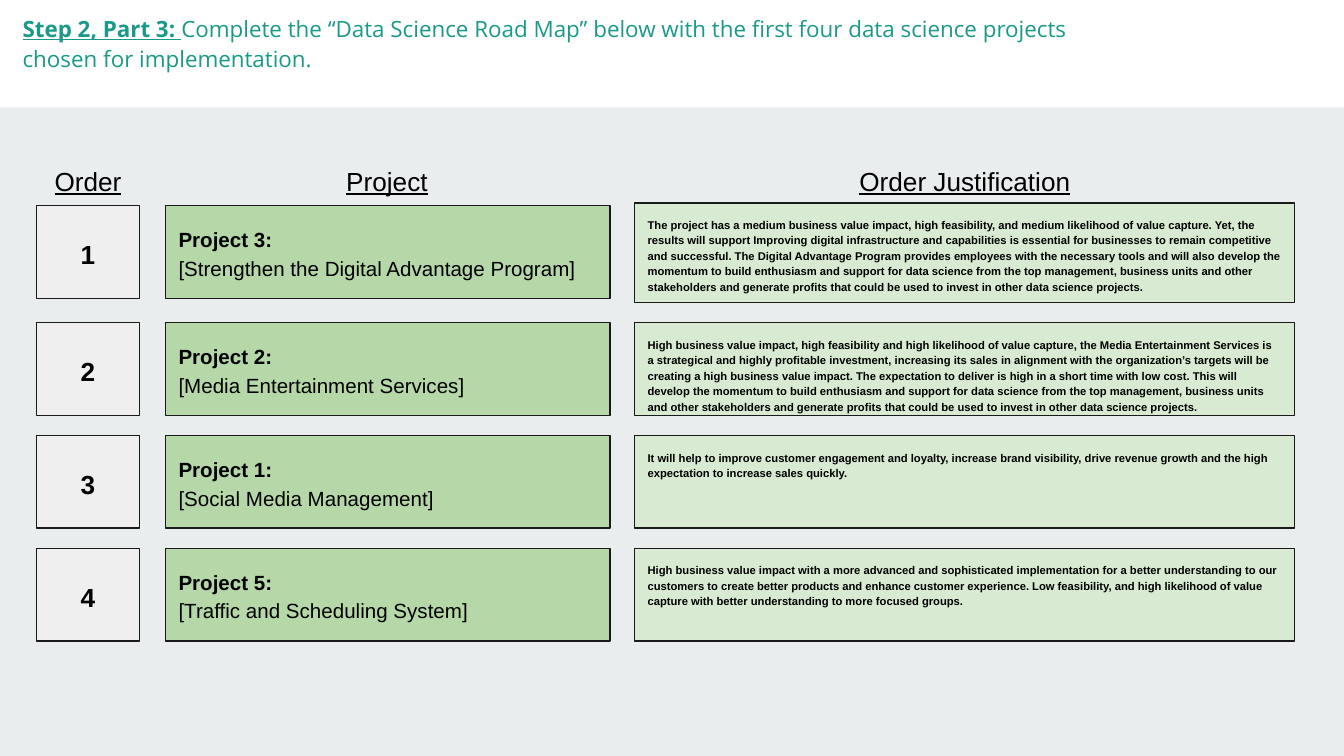
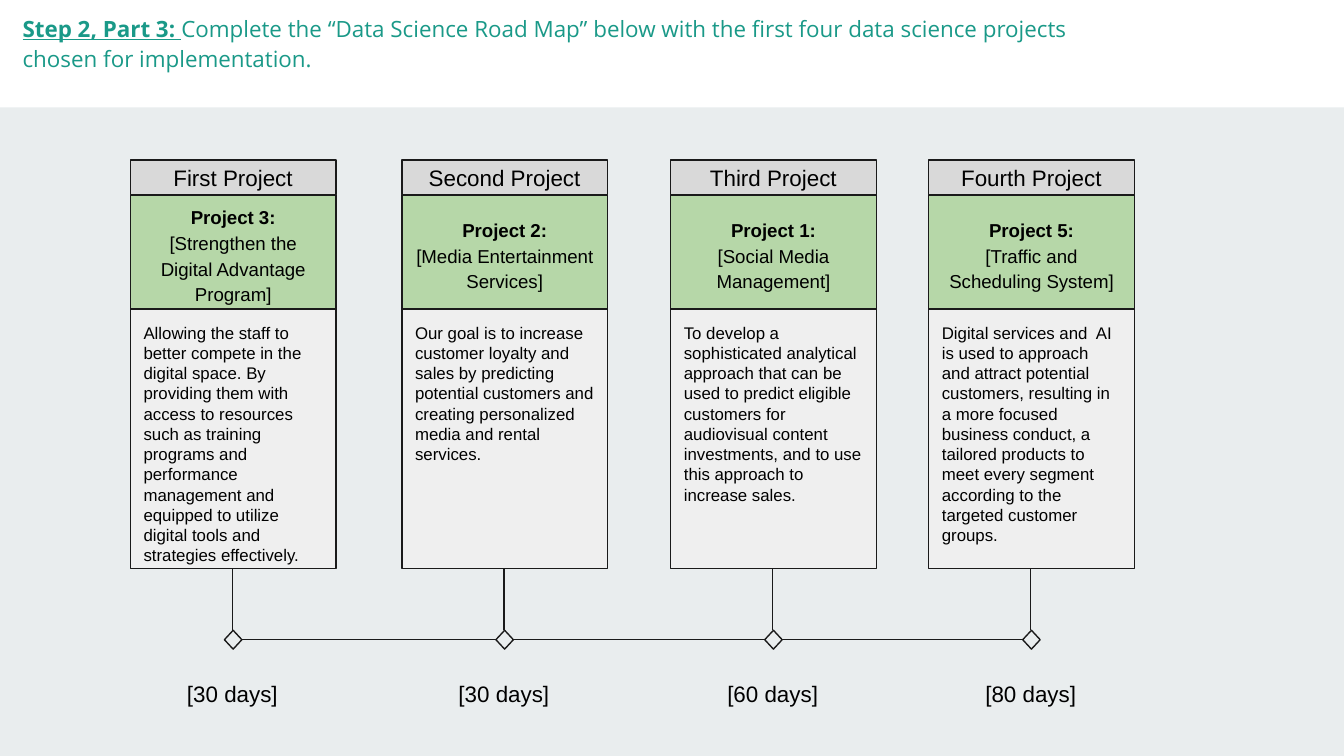
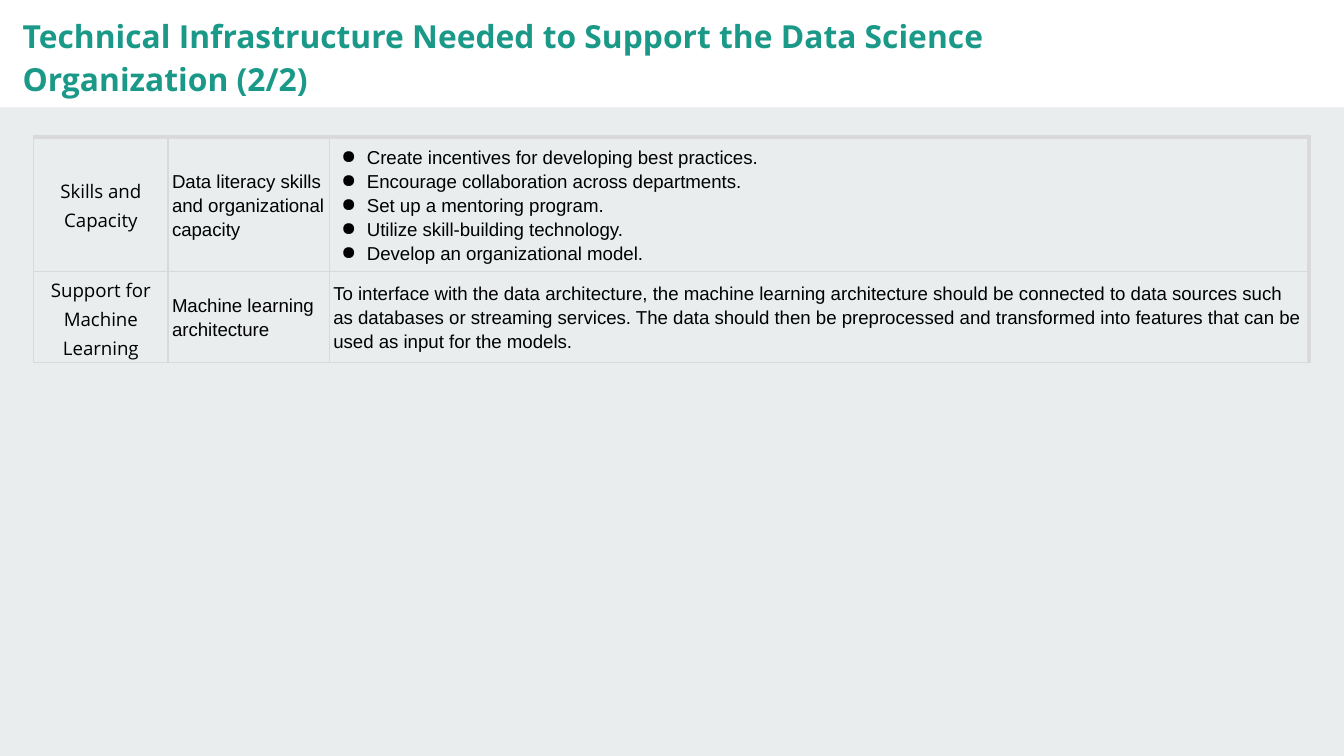
from lxml.etree import SubElement
from pptx import Presentation
from pptx.dml.color import RGBColor
from pptx.enum.shapes import MSO_CONNECTOR, MSO_SHAPE
from pptx.enum.text import MSO_ANCHOR, PP_ALIGN
from pptx.oxml.ns import qn
from pptx.util import Pt

PX = 9144  # 100 px to the inch
COLORS = {
    "page": "E9EDEE", "band": "FFFFFF", "title": "1A9988", "text": "000000",
    "outline": "1A1A1A", "project": "B6D7A8", "reason": "D9EAD3",
    "plain": "EFEFEF", "heading": "D9D9D9", "border": "D9D9D9",
}
RGB = {name: RGBColor.from_string(value) for name, value in COLORS.items()}
TITLE_FONT = "Open Sans"
CENTER, LEFT = PP_ALIGN.CENTER, PP_ALIGN.LEFT
MIDDLE, TOP = MSO_ANCHOR.MIDDLE, MSO_ANCHOR.TOP


def write(frame, text, size=10, font="Arial", color="text", bold=False,
          underline=False, align=LEFT, spacing=1.15, join=False):
    """Add a paragraph to the frame, or go on with the last one if join is set."""
    para = frame.paragraphs[-1]
    if para.runs and not join:
        para = frame.add_paragraph()
    para.alignment = align
    para.line_spacing = spacing
    span = para.add_run()
    span.text = text
    span.font.size = Pt(size)
    span.font.name = font
    span.font.bold = bold
    span.font.underline = underline
    span.font.color.rgb = RGB[color]
    return para


def add_box(shapes, place, fill=None, anchor=MIDDLE, kind=MSO_SHAPE.RECTANGLE):
    """Add an outlined shape, or a text box if no fill is given; return its frame."""
    place = [length * PX for length in place]
    if fill:
        box = shapes.add_shape(kind, *place)
        box.shadow.inherit = False
        box.fill.solid()
        box.fill.fore_color.rgb = RGB[fill]
        box.line.color.rgb = RGB["outline"]
        box.line.width = Pt(0.75)
    else:
        box = shapes.add_textbox(*place)
    frame = box.text_frame
    frame.word_wrap = True
    frame.vertical_anchor = anchor
    frame.margin_left = frame.margin_right = 10 * PX
    frame.margin_top = frame.margin_bottom = 10 * PX
    return frame


deck = Presentation()
deck.slide_width = 1000 * PX
deck.slide_height = 5143500
background = deck.slide_master.background.fill
background.solid()
background.fore_color.rgb = RGB["page"]

# Pages with the shared band and title
ROAD_MAP = ("Complete the “Data Science Road Map” below with the first four "
            "data science projects chosen for implementation.")
INFRASTRUCTURE = ("Technical Infrastructure Needed to Support the Data Science "
                  "Organization (2/2)")
pages = []
for lead, title, size in [("Step 2, Part 3: ", ROAD_MAP, 12),
                          ("Step 2, Part 3: ", ROAD_MAP, 12),
                          ("", INFRASTRUCTURE, 17)]:
    page = deck.slides.add_slide(deck.slide_layouts[6])
    band = page.shapes.add_shape(MSO_SHAPE.RECTANGLE, 0, 0, 1000 * PX, 80 * PX)
    band.shadow.inherit = False
    band.fill.solid()
    band.fill.fore_color.rgb = RGB["band"]
    band.line.fill.background()
    frame = add_box(page.shapes, (7, -2, 844, 37), anchor=TOP)
    style = {"size": size, "font": TITLE_FONT, "color": "title"}
    if lead:
        write(frame, lead, bold=True, underline=True, **style)
    write(frame, title, bold=not lead, join=True, **style)
    pages.append(page)
order_page, timeline_page, table_page = pages

# Project order and its justification
PROJECTS = [
    ("Project 3:", "[Strengthen the Digital Advantage Program]"),
    ("Project 2:", "[Media Entertainment Services]"),
    ("Project 1:", "[Social Media Management]"),
    ("Project 5:", "[Traffic and Scheduling System]"),
]
REASONS = [
    "The project has a medium business value impact, high feasibility, and medium "
    "likelihood of value capture. Yet, the results will support Improving digital "
    "infrastructure and capabilities is essential for businesses to remain competitive "
    "and successful. The Digital Advantage Program provides employees with the necessary "
    "tools and will also develop the momentum to build enthusiasm and support for data "
    "science from the top management, business units and other stakeholders and generate "
    "profits that could be used to invest in other data science projects.",
    "High business value impact, high feasibility and high likelihood of value capture, "
    "the Media Entertainment Services is a strategical and highly profitable investment, "
    "increasing its sales in alignment with the organization’s targets will be creating a "
    "high business value impact. The expectation to deliver is high in a short time with "
    "low cost. This will develop the momentum to build enthusiasm and support for data "
    "science from the top management, business units and other stakeholders and generate "
    "profits that could be used to invest in other data science projects.",
    "It will help to improve customer engagement and loyalty, increase brand visibility, "
    "drive revenue growth and the high expectation to increase sales quickly.",
    "High business value impact with a more advanced and sophisticated implementation for "
    "a better understanding to our customers to create better products and enhance "
    "customer experience. Low feasibility, and high likelihood of value capture with "
    "better understanding to more focused groups.",
]
shapes = order_page.shapes
for heading, left, width in [("Order", 27, 77), ("Project", 240, 96),
                             ("Order Justification", 623, 190)]:
    frame = add_box(shapes, (left, 116, width, 37))
    write(frame, heading, size=14, underline=True, align=CENTER, spacing=1.0)

ROW_TOPS = [153, 240, 324, 408]
for number, (top, (label, name), reason) in enumerate(zip(ROW_TOPS, PROJECTS, REASONS), 1):
    frame = add_box(shapes, (27, top, 77, 69), "plain")
    write(frame, str(number), size=14, bold=True, align=CENTER)
    frame = add_box(shapes, (123, top, 331, 69), "project")
    write(frame, label, size=11, bold=True)
    write(frame, name, size=11)
    # The first justification is taller than its row
    place = (472, 151, 491, 74) if number == 1 else (472, top, 491, 69)
    write(add_box(shapes, place, "reason", TOP), reason, size=6, bold=True)

# Timeline of the four projects
STAGES = [
    (97, "First Project", "[30 days]",
     "Allowing the staff to better compete in the digital space. By providing them with "
     "access to resources such as training programs and performance management and "
     "equipped to utilize digital tools and strategies effectively."),
    (299, "Second Project", "[30 days]",
     "Our goal is to increase customer loyalty and sales by predicting potential customers "
     "and creating personalized media and rental services."),
    (499, "Third Project", "[60 days]",
     "To develop a sophisticated analytical approach that can be used to predict eligible "
     "customers for audiovisual content investments, and to use this approach to increase "
     "sales."),
    (691, "Fourth Project", "[80 days]",
     "Digital services and  AI is used to approach and attract potential customers, "
     "resulting in a more focused business conduct, a tailored products to meet every "
     "segment according to the targeted customer groups."),
]
shapes = timeline_page.shapes
CARD = 153
centers = [left + CARD // 2 for left, *_ in STAGES]
lines = [(centers[0] + 6, 476, centers[-1] - 6, 476)]
lines += [(center, 423, center, 469) for center in centers]
for ends in lines:
    line = shapes.add_connector(MSO_CONNECTOR.STRAIGHT, *[end * PX for end in ends])
    line.line.color.rgb = RGB["outline"]
    line.line.width = Pt(0.75)
    SubElement(line._element.spPr, qn("a:effectLst"))

for center, (left, heading, days, goal), (label, name) in zip(centers, STAGES, PROJECTS):
    card = shapes.add_group_shape().shapes
    add_box(card, (center - 6, 469, 13, 14), "page", kind=MSO_SHAPE.DIAMOND)
    frame = add_box(card, (left, 145, CARD, 88), "project")
    write(frame, label, bold=True, align=CENTER)
    write(frame, name, align=CENTER)
    frame = add_box(card, (left, 119, CARD, 26), "heading")
    write(frame, heading, size=12, align=CENTER, spacing=1.0)
    frame = add_box(card, (left, 230, CARD, 193), "plain", TOP)
    write(frame, goal, size=9, spacing=1.0)
    frame = add_box(shapes, (center - 93, 496, 186, 37), anchor=TOP)
    write(frame, days, size=12, align=CENTER, spacing=1.0)

# Infrastructure table: area, need, actions
ROWS = [
    ("Skills and Capacity", "Data literacy skills and organizational capacity",
     ["Create incentives for developing best practices.",
      "Encourage collaboration across departments.",
      "Set up a mentoring program.",
      "Utilize skill-building technology.",
      "Develop an organizational model."]),
    ("Support for Machine Learning", "Machine learning architecture",
     ["To interface with the data architecture, the machine learning architecture should "
      "be connected to data sources such as databases or streaming services. The data "
      "should then be preprocessed and transformed into features that can be used as "
      "input for the models."]),
]
COLUMN_WIDTHS = [100, 120, 729]
ROW_HEIGHTS = [92, 68]
table = table_page.shapes.add_table(
    len(ROWS), len(COLUMN_WIDTHS), 25 * PX, 102 * PX,
    sum(COLUMN_WIDTHS) * PX, sum(ROW_HEIGHTS) * PX).table
table.first_row = table.horz_banding = False
for column, width in zip(table.columns, COLUMN_WIDTHS):
    column.width = width * PX
for row, height in zip(table.rows, ROW_HEIGHTS):
    row.height = height * PX

for row_index, (area, need, actions) in enumerate(ROWS):
    for column_index, entries in enumerate([[area], [need], actions]):
        cell = table.cell(row_index, column_index)
        cell.vertical_anchor = MIDDLE
        cell.margin_left = cell.margin_right = 3 * PX
        cell.margin_top = cell.margin_bottom = 2 * PX
        for entry in entries:
            if column_index == 0:
                write(cell.text_frame, entry, font=TITLE_FONT, align=CENTER)
                continue
            para = write(cell.text_frame, entry)
            if len(entries) > 1:
                properties = para._p.get_or_add_pPr()
                properties.set("marL", str(25 * PX))
                properties.set("indent", str(-19 * PX))
                bullet_color = SubElement(properties, qn("a:buClr"))
                SubElement(bullet_color, qn("a:srgbClr"), val=COLORS["text"])
                SubElement(properties, qn("a:buChar"), char="●")
        heavy = {"R": column_index == 2, "T": row_index == 0}
        for side in "LRTB":
            width = Pt(2.25 if heavy.get(side) else 0.75)
            border = SubElement(cell._tc.get_or_add_tcPr(), qn("a:ln" + side), w=str(width))
            border_fill = SubElement(border, qn("a:solidFill"))
            SubElement(border_fill, qn("a:srgbClr"), val=COLORS["border"])
        cell.fill.background()

deck.save("out.pptx")
